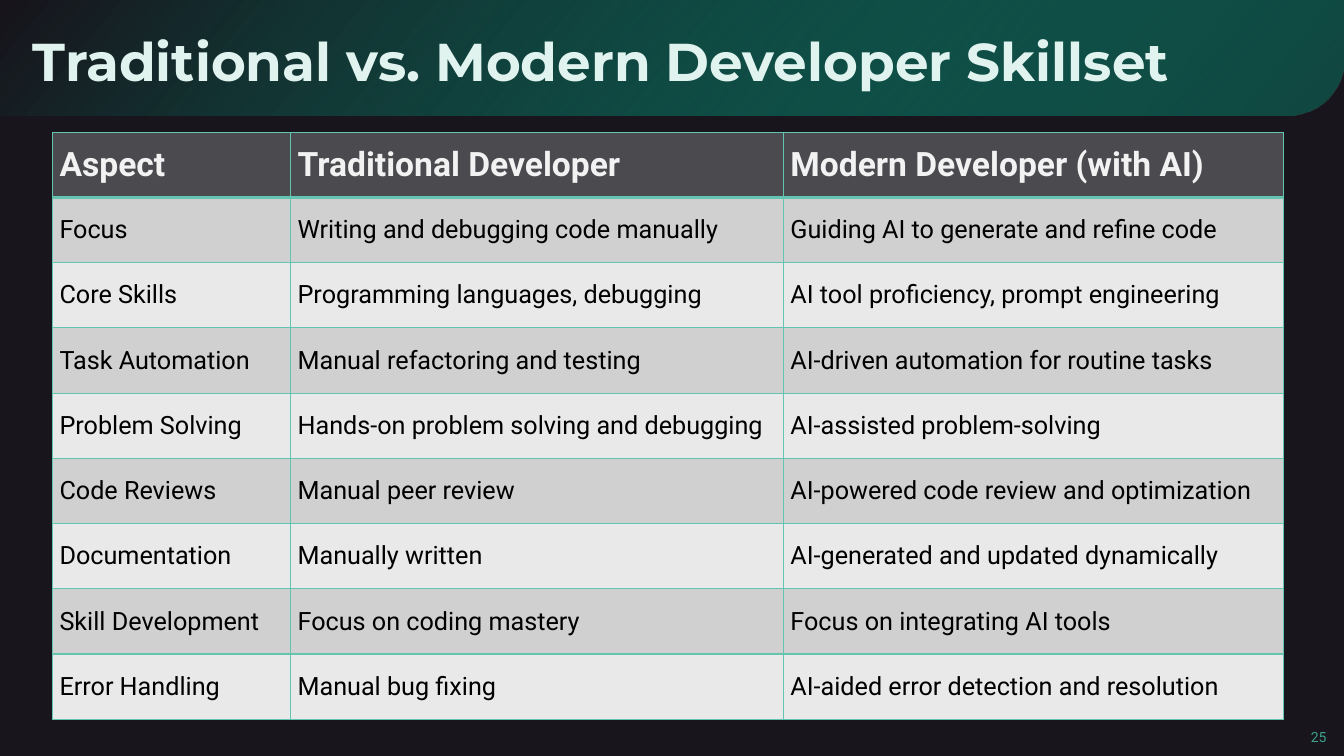
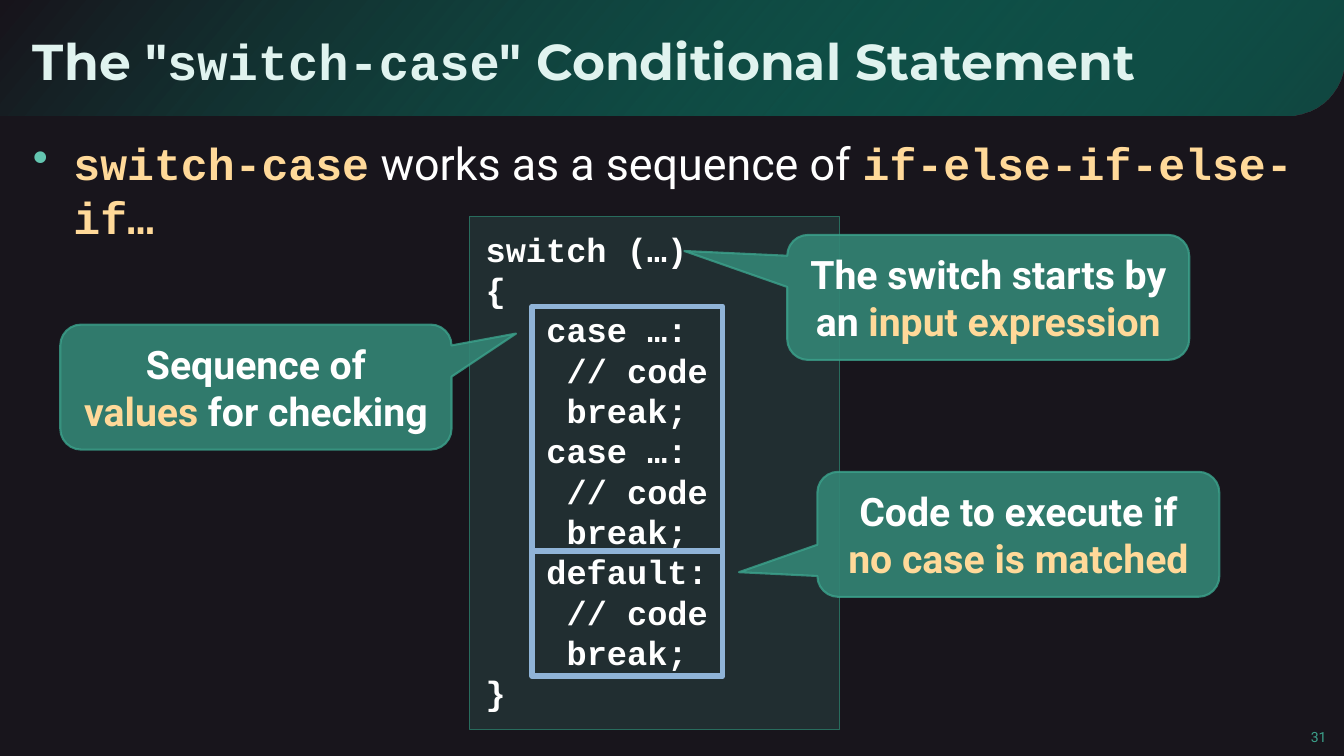
from dataclasses import dataclass

from lxml import etree
from pptx import Presentation
from pptx.dml.color import RGBColor
from pptx.enum.shapes import MSO_SHAPE
from pptx.enum.text import MSO_ANCHOR, MSO_AUTO_SIZE, PP_ALIGN
from pptx.oxml.ns import qn
from pptx.util import Cm, Pt

RECT, BAND = MSO_SHAPE.RECTANGLE, MSO_SHAPE.ROUND_1_RECTANGLE
CALLOUT = MSO_SHAPE.ROUNDED_RECTANGULAR_CALLOUT
LEFT, MID, RIGHT = PP_ALIGN.LEFT, PP_ALIGN.CENTER, PP_ALIGN.RIGHT
TOP, MIDDLE, BOTTOM = MSO_ANCHOR.TOP, MSO_ANCHOR.MIDDLE, MSO_ANCHOR.BOTTOM
TITLE_ONLY = 5


@dataclass(frozen=True)
class Theme:
    back: str = "18151C"
    glow: str = "00BA96"
    mint: str = "63C5B0"
    edge: str = "3CA28C"
    bubble: str = "338575"
    panel: str = "55BFA9"
    rim: str = "286C5D"
    frame: str = "90B4D8"
    head: str = "4B4A4F"
    bands: tuple = ("D0D0D0", "E9E9E9")
    body: int = 32
    call: int = 28
    code: int = 24
    cell: int = 18
    page: int = 10


T = Theme()

# Text styles: font, colour, bold
STYLES = {
    "title": ("Montserrat", "E0F3EF", True),
    "mono": ("Courier New", "E0F3EF", True),
    "key": ("Courier New", "FFD999", True),
    "code": ("Courier New", "FFFFFF", True),
    "plain": ("Roboto", "FFFFFF", False),
    "bold": ("Roboto", "FFFFFF", True),
    "accent": ("Roboto", "FFD999", True),
    "head": ("Roboto", "F2F2F2", True),
    "cell": ("Roboto", "000000", False),
    "page": ("Roboto", T.edge, False),
}

SKILLS = [
    ("Aspect", "Traditional Developer", "Modern Developer (with AI)"),
    ("Focus", "Writing and debugging code manually",
     "Guiding AI to generate and refine code"),
    ("Core Skills", "Programming languages, debugging",
     "AI tool proficiency, prompt engineering"),
    ("Task Automation", "Manual refactoring and testing",
     "AI-driven automation for routine tasks"),
    ("Problem Solving", "Hands-on problem solving and debugging",
     "AI-assisted problem-solving"),
    ("Code Reviews", "Manual peer review",
     "AI-powered code review and optimization"),
    ("Documentation", "Manually written",
     "AI-generated and updated dynamically"),
    ("Skill Development", "Focus on coding mastery",
     "Focus on integrating AI tools"),
    ("Error Handling", "Manual bug fixing",
     "AI-aided error detection and resolution"),
]
COLS = (6, 12.42, 12.6)

SKILL_TITLE = [("Traditional vs. Modern Developer Skillset", "title")]
SWITCH_TITLE = [("The \"", "title"), ("switch-case", "mono"),
                ("\" Conditional Statement", "title")]
LEAD = [("switch-case", "key"), (" works as a sequence of ", "plain"),
        ("if-else-if-else-if…", "key")]

# Code lines: indent in characters, text
CASE = [(3, "case …:"), (4, "// code"), (4, "break;")]
CODE = [(0, "switch (…)"), (0, "{"), *CASE, *CASE,
        (3, "default:"), *CASE[1:], (0, "}")]
STEP = 0.51

# Callouts: left, top, width, tail, paragraphs
CALLS = [
    (19.84, 5.92, 10.13, (-0.756, -0.371),
     [[("The switch starts by an ", "bold"), ("input expression", "accent")]]),
    (1.52, 8.18, 9.86, (0.665, -0.428),
     [[("Sequence of", "bold")],
      [("values", "accent"), (" for checking", "bold")]]),
    (20.6, 11.89, 10.13, (-0.695, 0.303),
     [[("Code to execute if ", "bold"), ("no case is matched", "accent")]]),
]
CALL_H = 3.15

# Frames around the cases and the default: top, height
FRAMES = [(7.72, 6.17), (13.89, 3.15)]


def rgb(code):
    return RGBColor.from_string(code)


def put(obj, **vals):
    for name, val in vals.items():
        setattr(obj, name, val)


def cms(*nums):
    return [Cm(num) for num in nums]


def fade(node, pct):
    """Set the opacity of the first colour inside node."""
    clr = next(node.iter(qn("a:srgbClr")))
    etree.SubElement(clr, qn("a:alpha"), val=str(pct * 1000))


def add_runs(para, runs, size):
    for text, style in runs:
        run = para.add_run()
        run.text = text
        font, color, bold = STYLES[style]
        put(run.font, name=font, size=Pt(size), bold=bold)
        run.font.color.rgb = rgb(color)


def write(frame, paras, size, align=LEFT, anchor=TOP, pad=None, **fmt):
    """Fill a text frame with paragraphs, each a list of (text, style)."""
    put(frame, word_wrap=True, auto_size=MSO_AUTO_SIZE.NONE,
        vertical_anchor=anchor)
    if pad:
        across, down = cms(*pad)
        put(frame, margin_left=across, margin_right=across,
            margin_top=down, margin_bottom=down)
    for num, runs in enumerate(paras):
        para = frame.add_paragraph() if num else frame.paragraphs[0]
        put(para, alignment=align, **fmt)
        add_runs(para, runs, size)


def draw(slide, kind, box, fill=None, line=None, width=1):
    shape = slide.shapes.add_shape(kind, *cms(*box))
    shape.shadow.inherit = False
    if fill:
        shape.fill.solid()
        shape.fill.fore_color.rgb = rgb(fill)
    else:
        shape.fill.background()
    if line:
        shape.line.color.rgb = rgb(line)
        shape.line.width = Pt(width)
    else:
        shape.line.fill.background()
    return shape


def dress(prs, slide):
    """Give the master its background and the layout its title band."""
    ground = prs.slide_master.background.fill
    ground.solid()
    ground.fore_color.rgb = rgb(T.back)
    band = draw(slide, BAND, (0, 0, 33.87, 2.92))
    band.adjustments[0] = 0.5
    band.fill.gradient()
    band.fill.gradient_angle = 220
    for stop, color in zip(band.fill.gradient_stops, (T.glow, T.back)):
        stop.color.rgb = rgb(color)
    node = band._element
    fade(node.spPr, 30)
    node.spPr.find(qn("a:xfrm")).set("flipV", "1")
    node.nvSpPr.cNvPr.set("id", "20")
    slide.slide_layout.shapes._spTree.insert(2, node)


def start(prs, title, size, page):
    slide = prs.slides.add_slide(prs.slide_layouts[TITLE_ONLY])
    left, top, width, height = cms(0.53, 0.28, 30, 2.46)
    head = slide.shapes.title
    put(head, left=left, top=top, width=width, height=height)
    write(head.text_frame, [title], size, anchor=MIDDLE, pad=(0.3, 0.1))
    note = slide.shapes.add_textbox(*cms(32.54, 18.1, 1.14, 0.81))
    write(note.text_frame, [[(str(page), "page")]], T.page, RIGHT, BOTTOM)
    return slide


def border(cell, sides):
    """Draw cell borders from a dict of side to width in points."""
    props = cell._tc.get_or_add_tcPr()
    for num, (side, width) in enumerate(sides.items()):
        line = etree.Element(qn("a:ln" + side), w=str(Pt(width)))
        fill = etree.SubElement(line, qn("a:solidFill"))
        etree.SubElement(fill, qn("a:srgbClr"), val=T.mint)
        props.insert(num, line)


def grid(slide):
    tall = 14.8
    table = slide.shapes.add_table(
        len(SKILLS), len(COLS), *cms(1.32, 3.33, sum(COLS), tall)).table
    for col, width in zip(table.columns, COLS):
        col.width = Cm(width)
    pad = Cm(0.18)
    for num, texts in enumerate(SKILLS):
        table.rows[num].height = Cm(tall / len(SKILLS))
        style, size = ("cell", T.cell) if num else ("head", T.code)
        fill = T.bands[(num - 1) % 2] if num else T.head
        sides = {"L": 1, "R": 1, "T": 3 if num == 1 else 1,
                 "B": 1 if num else 3}
        for cell, text in zip(table.rows[num].cells, texts):
            cell.fill.solid()
            cell.fill.fore_color.rgb = rgb(fill)
            border(cell, sides)
            put(cell, vertical_anchor=MIDDLE, margin_left=pad,
                margin_right=pad, margin_top=pad, margin_bottom=pad)
            add_runs(cell.text_frame.paragraphs[0], [(text, style)], size)


def lead(slide):
    """Write the bulleted opening line."""
    box = slide.shapes.add_textbox(*cms(0.53, 3.33, 32.79, 15.44))
    write(box.text_frame, [LEAD], T.body, pad=(0.3, 0.1),
          space_before=Pt(6), space_after=Pt(6))
    props = box.text_frame.paragraphs[0]._p.get_or_add_pPr()
    hang = Cm(1.02)
    props.set("marL", str(hang))
    props.set("indent", str(-hang))
    tint = etree.SubElement(props, qn("a:buClr"))
    etree.SubElement(tint, qn("a:srgbClr"), val=T.mint)
    etree.SubElement(props, qn("a:buChar"), char="•")


def listing(slide):
    panel = draw(slide, RECT, (11.84, 5.46, 9.32, 12.93), T.panel, T.rim)
    fade(panel._element.spPr, 15)
    frame = panel.text_frame
    write(frame, [[(text, "code")] for _, text in CODE], T.code,
          pad=(0.4, 0.3))
    for para, (chars, _) in zip(frame.paragraphs, CODE):
        para._p.get_or_add_pPr().set("marL", str(Cm(chars * STEP)))


def callout(slide, left, top, width, tail, paras):
    shape = draw(slide, CALLOUT, (left, top, width, CALL_H),
                 T.bubble, T.edge, 1.5)
    for num, val in enumerate((*tail, 0.167)):
        shape.adjustments[num] = val
    props = shape._element.spPr
    fade(props, 90)
    fade(props.find(qn("a:ln")), 80)
    write(shape.text_frame, paras, T.call, MID, MIDDLE)


def main():
    prs = Presentation()
    put(prs, slide_width=Cm(33.87), slide_height=Cm(19.05))

    skills = start(prs, SKILL_TITLE, 38, 25)
    dress(prs, skills)
    grid(skills)

    switch = start(prs, SWITCH_TITLE, 36, 31)
    lead(switch)
    listing(switch)
    for top, height in FRAMES:
        draw(switch, RECT, (13.41, top, 4.8, height), line=T.frame, width=4)
    for call in CALLS:
        callout(switch, *call)

    prs.save("out.pptx")


if __name__ == "__main__":
    main()
